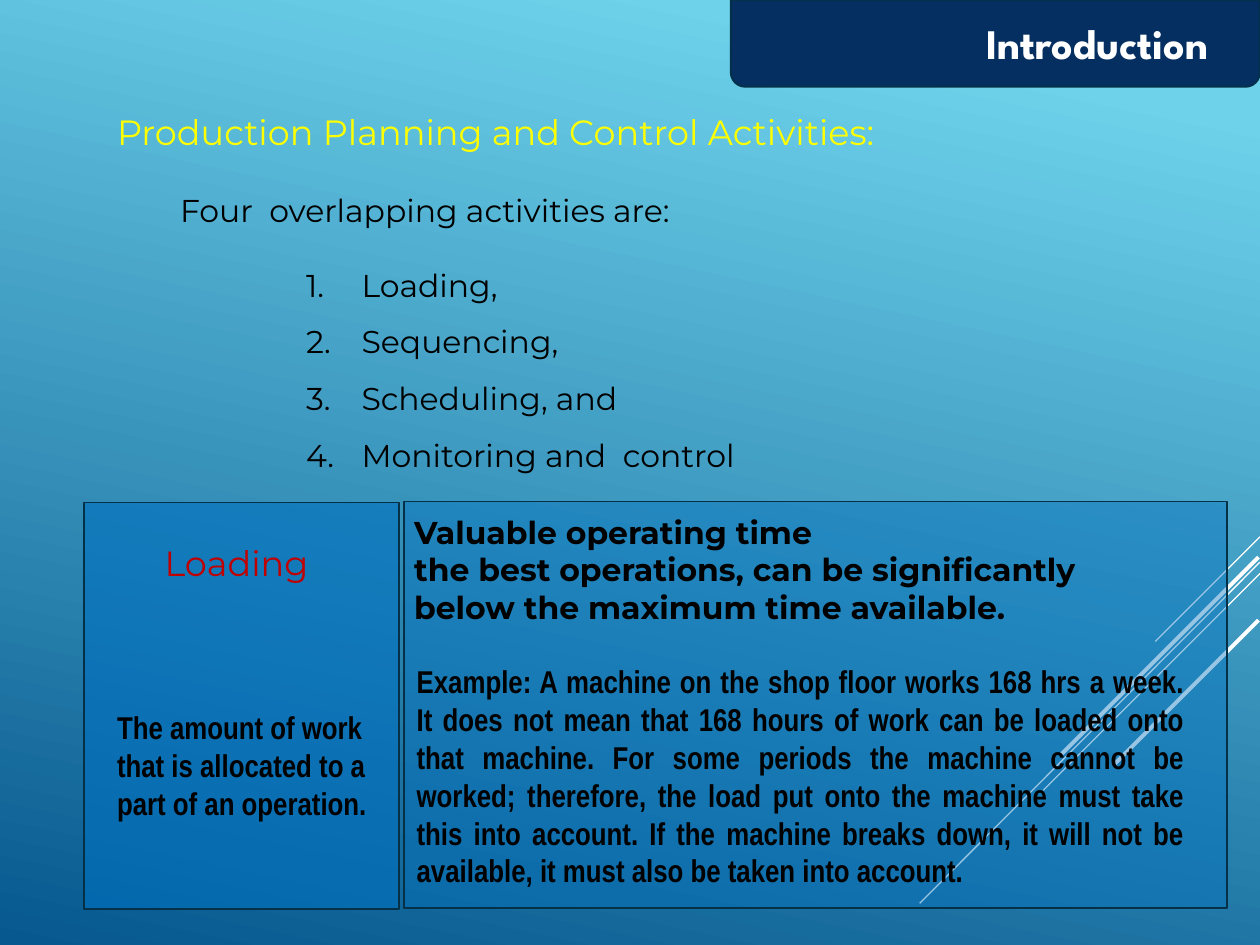
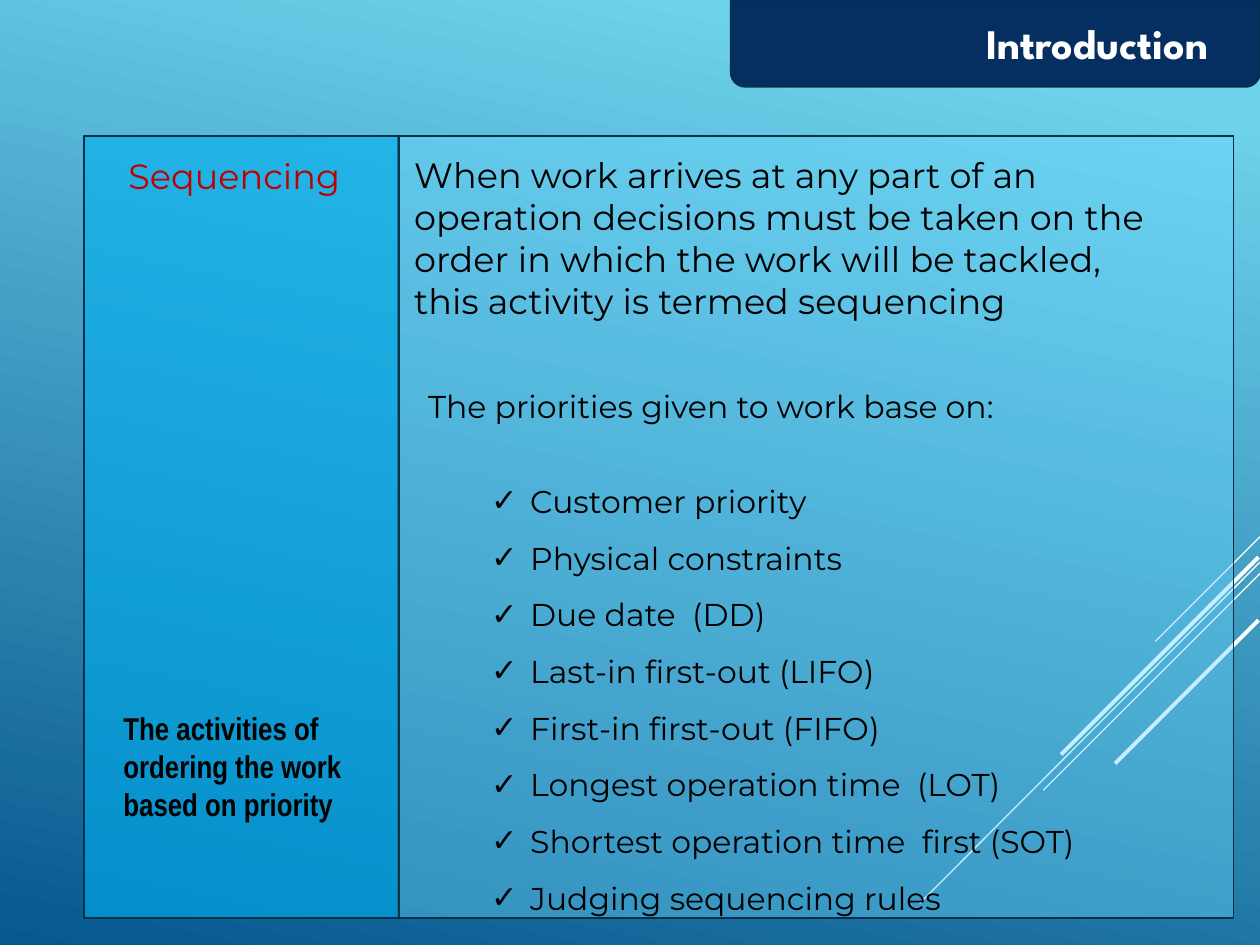
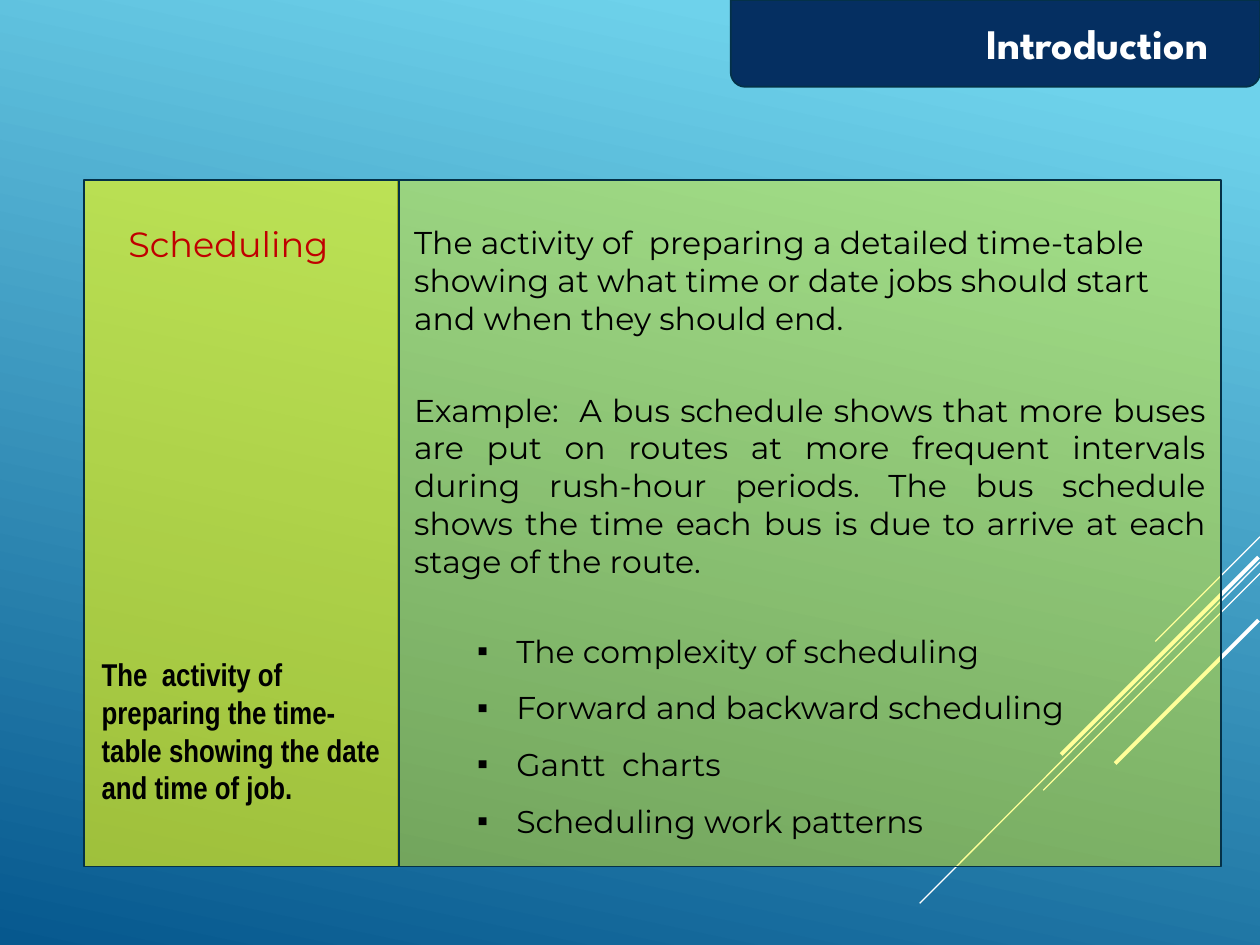
"""Build three slides on production planning and control activities."""
from lxml import etree
from pptx import Presentation
from pptx.dml.color import RGBColor
from pptx.enum import shapes, text
from pptx.oxml.ns import qn
from pptx.util import Cm, Pt

SKY = RGBColor(0x6E, 0xD2, 0xEB)
DEEP = RGBColor(0x06, 0x58, 0x8E)
NAVY = RGBColor(0x05, 0x2F, 0x61)
EDGE = RGBColor(0x04, 0x31, 0x48)
WHITE = RGBColor(0xFF, 0xFF, 0xFF)
BLACK = RGBColor(0x00, 0x00, 0x00)
YELLOW = RGBColor(0xFF, 0xFF, 0x00)
RED = RGBColor(0xC0, 0x00, 0x00)
BLUE = RGBColor(0x00, 0x70, 0xC0)
PALE = RGBColor(0x6D, 0xD9, 0xFF)
CYAN = RGBColor(0x00, 0xB0, 0xF0)

TITLE = ("League Spartan", 24, WHITE, True)
TOPIC = ("Montserrat", 20, YELLOW, False)
HEAD = ("Montserrat", 20, RED, False)
LEAD = ("Montserrat", 20, BLACK, False)
BODY = ("Montserrat", 18, BLACK, False)
BOLD = ("Montserrat", 18, BLACK, True)
NOTE = ("Arial Narrow", 18, BLACK, True)

BAND = (14.73, 0, 10.67, 1.75)
NAME = (15.85, 0.23, 8.76, 1.27)
RAYS = [
    (25.4, 10.82, 23.29, 12.93, 0.75),
    (25.4, 11.33, 18.54, 18.21, 0.75),
    (25.4, 11.56, 21.03, 15.93, 0.75),
    (25.37, 11.23, 21.39, 15.21, 2.25),
    (25.37, 12.5, 22.48, 15.39, 2.25),
]


def items(mark, gap, left, hang, lines):
    """Describe a list whose first line has a gap above it."""
    return [(line, BODY, {"mark": mark, "gap": 0 if i else gap, "left": left, "hang": hang})
            for i, line in enumerate(lines)]


SLIDES = [
    {
        "title": "Introduction",
        "panels": [
            ((1.7, 10.13, 6.35, 8.2), BLUE, 60),
            ((8.15, 10.11, 16.59, 8.2), BLUE, 40),
        ],
        "texts": [
            ((2.11, 2.11, 20.96, 7.62), [
                ("Production Planning and Control Activities:", TOPIC, {}),
                ("Four  overlapping activities are:", BODY, {"gap": 22, "left": 1.27}),
                *items("1.", 10, 4.93, 1.12, [
                    "Loading,", "Sequencing,", "Scheduling, and", "Monitoring and  control"]),
            ]),
            ((3.07, 10.8, 3.61, 1.96), [("Loading", HEAD, {})]),
            ((2.11, 14.15, 5.72, 2.57), [
                ("The amount of work that is allocated to a part of an operation.", NOTE, {})]),
            ((8.15, 13.23, 15.98, 4.88), [
                ("Example: A machine on the shop floor works 168 hrs a week. It does not mean "
                 "that 168 hours of work can be loaded onto that machine. For some periods the "
                 "machine cannot be worked; therefore, the load put onto the machine must take "
                 "this into account. If the machine breaks down, it will not be available, it "
                 "must also be taken into account.", NOTE, {"full": True})]),
            ((8.1, 10.21, 15.6, 3.33), [
                ("Valuable operating time", BOLD, {}),
                ("the best operations, can be significantly below the maximum time available.",
                 BOLD, {})]),
        ],
    },
    {
        "title": "Introduction",
        "panels": [
            ((8.03, 2.74, 16.84, 15.77), PALE, 40),
            ((1.7, 2.74, 6.35, 15.77), CYAN, 60),
        ],
        "texts": [
            ((8.1, 2.97, 15.6, 4.52), [
                ("When work arrives at any part of an operation decisions must be taken on the "
                 "order in which the work will be tackled, this activity is termed sequencing",
                 LEAD, {})]),
            ((2.34, 3, 5.08, 1.96), [("Sequencing", HEAD, {})]),
            ((2.24, 14.17, 5.72, 2.57), [
                ("The activities of ordering the work based on priority", NOTE, {})]),
            ((8.38, 7.67, 15.98, 11.18), [
                ("The priorities given to work base on:", BODY, {}),
                *items("✓", 22, 2.06, 0.79, [
                    "Customer priority", "Physical constraints", "Due date  (DD)",
                    "Last-in first-out (LIFO)", "First-in first-out (FIFO)",
                    "Longest operation time  (LOT)", "Shortest operation time  first (SOT)",
                    "Judging sequencing rules"]),
            ]),
        ],
    },
    {
        "title": "Introduction",
        "panels": [
            ((8.03, 3.63, 16.59, 13.84), YELLOW, 40),
            ((1.7, 3.63, 6.35, 13.84), YELLOW, 60),
        ],
        "texts": [
            ((8.1, 4.37, 16.46, 12.83), [
                ("The activity of  preparing a detailed time-table showing at what time or date "
                 "jobs should start and when they should end.", BODY, {}),
                ("Example:  A bus schedule shows that more buses are put on routes at more "
                 "frequent intervals during rush-hour periods. The bus schedule shows the time "
                 "each bus is due to arrive at each stage of the route.", BODY,
                 {"gap": 31, "full": True}),
                *items("▪", 19, 2.06, 0.79, [
                    "The complexity of scheduling", "Forward and backward scheduling",
                    "Gantt  charts", "Scheduling work patterns"]),
            ]),
            ((2.34, 4.37, 4.83, 1.96), [("Scheduling", HEAD, {})]),
            ((1.8, 13.08, 6.15, 3.33), [
                ("The  activity of preparing the time-table showing the date and time of job.",
                 NOTE, {})]),
        ],
    },
]


def place(box):
    """Turn centimetre numbers into lengths."""
    return [Cm(n) for n in box]


def style(para, look):
    """Set the font of a paragraph."""
    font = para.font
    font.name, size, font.color.rgb, font.bold = look
    font.size = Pt(size)


def block(slide, kind, box, fill, alpha=100):
    """Draw an outlined shape with a solid, possibly sheer, fill."""
    shape = slide.shapes.add_shape(kind, *place(box))
    shape.shadow.inherit = False
    shape.fill.solid()
    shape.fill.fore_color.rgb = fill
    shape.line.color.rgb = EDGE
    shape.line.width = Pt(1)
    if alpha < 100:
        tint = shape.element.spPr.find(qn("a:solidFill"))[0]
        etree.SubElement(tint, qn("a:alpha"), val=str(alpha * 1000))
    return shape


def bullet(props, mark):
    """Add a number or a character as list mark."""
    if mark == "1.":
        etree.SubElement(props, qn("a:buFont"), typeface="+mj-lt")
        etree.SubElement(props, qn("a:buAutoNum"), type="arabicPeriod")
    else:
        etree.SubElement(props, qn("a:buFont"), typeface="Arial")
        etree.SubElement(props, qn("a:buChar"), char=mark)


def write(slide, box, paras):
    """Add a text box with its paragraphs."""
    frame = slide.shapes.add_textbox(*place(box)).text_frame
    frame.word_wrap = True
    for i, (words, look, opts) in enumerate(paras):
        para = frame.add_paragraph() if i else frame.paragraphs[0]
        para.text = words
        props = para._p.get_or_add_pPr()
        if "left" in opts:
            props.set("marL", str(Cm(opts["left"])))
            props.set("indent", str(-Cm(opts.get("hang", 0))))
        if "mark" in opts:
            bullet(props, opts["mark"])
            para.line_spacing = 1.5
        if opts.get("gap"):
            para.space_before = Pt(opts["gap"])
        if opts.get("full"):
            para.alignment = text.PP_ALIGN.JUSTIFY
        style(para, look)


def theme(deck, layout, slide):
    """Give master and layout the backdrop, rays and band."""
    fill = deck.slide_master.background.fill
    fill.gradient()
    fill.gradient_angle = 258
    for stop, tone, spot in zip(fill.gradient_stops, (SKY, DEEP), (0.1, 1)):
        stop.color.rgb = tone
        stop.position = spot
    for holder in list(layout.placeholders):
        if holder.placeholder_format.type != shapes.PP_PLACEHOLDER.TITLE:
            holder.element.getparent().remove(holder.element)
    decor = []
    for *ends, width in RAYS:
        ray = slide.shapes.add_connector(shapes.MSO_CONNECTOR.STRAIGHT, *place(ends))
        ray.line.color.rgb = WHITE
        ray.line.width = Pt(width)
        etree.SubElement(ray.element.spPr, qn("a:effectLst"))
        decor.append(ray)
    band = block(slide, shapes.MSO_SHAPE.ROUND_2_SAME_RECTANGLE, BAND, NAVY)
    band.rotation = 180
    for part in decor + [band]:
        layout.shapes.element.append(part.element)


def head(slide, words):
    """Fill and format the title placeholder."""
    title = slide.shapes.title
    title.left, title.top, title.width, title.height = place(NAME)
    title.text_frame.text = words
    title.text_frame.vertical_anchor = text.MSO_ANCHOR.TOP
    para = title.text_frame.paragraphs[0]
    para.alignment = text.PP_ALIGN.RIGHT
    style(para, TITLE)


def main():
    """Build and save the deck."""
    deck = Presentation()
    deck.slide_width, deck.slide_height = Cm(25.4), Cm(19.05)
    layout = deck.slide_layouts[5]
    for i, data in enumerate(SLIDES):
        slide = deck.slides.add_slide(layout)
        if i == 0:
            theme(deck, layout, slide)
        head(slide, data["title"])
        for box, fill, alpha in data["panels"]:
            block(slide, shapes.MSO_SHAPE.RECTANGLE, box, fill, alpha)
        for box, paras in data["texts"]:
            write(slide, box, paras)
    deck.save("out.pptx")


if __name__ == "__main__":
    main()
